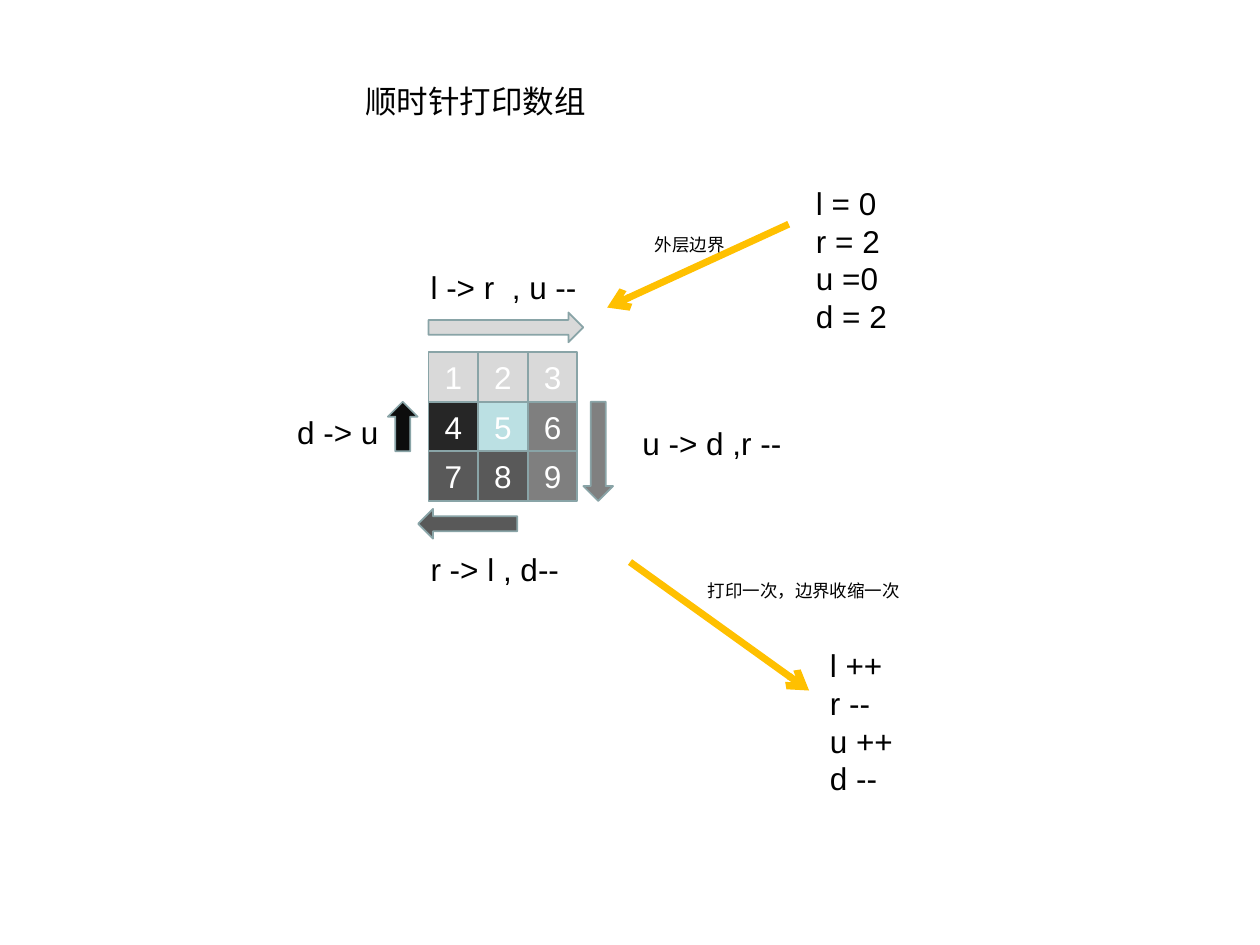
from lxml.etree import SubElement
from pptx import Presentation
from pptx.dml.color import RGBColor
from pptx.enum.shapes import MSO_CONNECTOR, MSO_SHAPE
from pptx.enum.text import MSO_ANCHOR, MSO_AUTO_SIZE, PP_ALIGN
from pptx.oxml.ns import qn
from pptx.util import Cm, Pt

BLACK = RGBColor(0x00, 0x00, 0x00)
WHITE = RGBColor(0xFF, 0xFF, 0xFF)
OUTLINE = RGBColor(0x89, 0xA4, 0xA7)
ORANGE = RGBColor(0xFF, 0xC0, 0x00)
CENTRE = RGBColor(0xBB, 0xE0, 0xE3)
TOP = RGBColor(0xD9, 0xD9, 0xD9)
RIGHT = RGBColor(0x7F, 0x7F, 0x7F)
BOTTOM = RGBColor(0x59, 0x59, 0x59)
LEFT = RGBColor(0x26, 0x26, 0x26)
RIGHT_ARROW = RGBColor(0x80, 0x80, 0x80)
UP_ARROW = RGBColor(0x0D, 0x0D, 0x0D)

# Matrix geometry in centimetres
GRID_LEFT, GRID_TOP, CELL = 8.64, 7.1, 1
CELL_FILLS = [
    [TOP, TOP, TOP],
    [LEFT, CENTRE, RIGHT],
    [BOTTOM, BOTTOM, RIGHT],
]

# Direction arrows: preset, left, top, width, height, fill
DIRECTIONS = [
    (MSO_SHAPE.RIGHT_ARROW, 8.64, 6.3, 3.12, 0.6, TOP),
    (MSO_SHAPE.LEFT_ARROW, 8.43, 10.26, 2, 0.6, BOTTOM),
    (MSO_SHAPE.DOWN_ARROW, 11.76, 8.1, 0.6, 2, RIGHT_ARROW),
    (MSO_SHAPE.UP_ARROW, 7.82, 8.1, 0.6, 1, UP_ARROW),
]

# Labels: lines, left, top, width, height, text size
LABELS = [
    (["l = 0", "r = 2", "u =0", "d = 2"], 16.2, 3.58, 3.89, 3.3, 18),
    (["l -> r  , u --"], 8.43, 5.28, 3.58, 1.02, 18),
    (["r -> l , d--"], 8.43, 10.97, 3.33, 1.02, 18),
    (["u -> d ,r --"], 12.7, 8.43, 4.65, 1.02, 18),
    (["d -> u"], 5.74, 8.2, 3.43, 1.02, 18),
    (["l ++", "r --", "u ++", "d --"], 16.48, 12.9, 3.89, 3.3, 18),
    (["外层边界"], 12.95, 4.6, 2.13, 0.69, 10),
    (["打印一次，边界收缩一次"], 14.02, 11.56, 6.5, 0.69, 10),
]

# Step arrows: start x, start y, end x, end y
STEPS = [
    (15.9, 4.52, 12.24, 6.2),
    (12.7, 11.33, 16.31, 13.92),
]


def write_text(shape, lines, size, color, alignment, anchor):
    frame = shape.text_frame
    frame.text = "\n".join(lines)
    frame.word_wrap = True
    frame.vertical_anchor = anchor
    font_format = {"name": "Arial", "size": Pt(size), "bold": False}
    for paragraph in frame.paragraphs:
        paragraph.alignment = alignment
        for run in paragraph.runs:
            for name, value in font_format.items():
                setattr(run.font, name, value)
            run.font.color.rgb = color


def add_title(slide, text):
    title = slide.shapes.title
    position = {"left": 7.11, "top": 1.52, "width": 7.77, "height": 1.02}
    for name, value in position.items():
        setattr(title, name, Cm(value))
    write_text(title, [text], 18, BLACK, PP_ALIGN.LEFT, MSO_ANCHOR.TOP)
    title.text_frame.auto_size = MSO_AUTO_SIZE.SHAPE_TO_FIT_TEXT


def add_filled_shape(slide, preset, left, top, width, height, fill):
    shape = slide.shapes.add_shape(preset, Cm(left), Cm(top), Cm(width), Cm(height))
    shape.shadow.inherit = False
    shape.fill.solid()
    shape.fill.fore_color.rgb = fill
    shape.line.color.rgb = OUTLINE
    shape.line.width = Pt(1)
    return shape


def add_matrix(slide):
    for row, fills in enumerate(CELL_FILLS):
        for column, fill in enumerate(fills):
            cell = add_filled_shape(
                slide, MSO_SHAPE.RECTANGLE,
                GRID_LEFT + column * CELL, GRID_TOP + row * CELL,
                CELL, CELL, fill)
            number = row * len(fills) + column + 1
            write_text(cell, [str(number)], 18, WHITE,
                       PP_ALIGN.CENTER, MSO_ANCHOR.MIDDLE)


def add_label(slide, lines, left, top, width, height, size):
    box = slide.shapes.add_textbox(Cm(left), Cm(top), Cm(width), Cm(height))
    write_text(box, lines, size, BLACK, PP_ALIGN.LEFT, MSO_ANCHOR.TOP)
    box.text_frame.auto_size = MSO_AUTO_SIZE.SHAPE_TO_FIT_TEXT


def add_step_arrow(slide, *ends):
    connector = slide.shapes.add_connector(
        MSO_CONNECTOR.STRAIGHT, *(Cm(value) for value in ends))
    connector.line.color.rgb = ORANGE
    connector.line.width = Pt(4)
    # Open arrowhead at the end, no shadow
    SubElement(connector.line._get_or_add_ln(), qn("a:tailEnd"), type="arrow")
    SubElement(connector._element.spPr, qn("a:effectLst"))


def main():
    presentation = Presentation()
    presentation.slide_width = Cm(25.4)
    presentation.slide_height = Cm(19.05)
    slide = presentation.slides.add_slide(presentation.slide_layouts[5])

    add_title(slide, "顺时针打印数组")
    add_matrix(slide)
    for direction in DIRECTIONS:
        add_filled_shape(slide, *direction)
    for step in STEPS:
        add_step_arrow(slide, *step)
    for label in LABELS:
        add_label(slide, *label)

    presentation.save("out.pptx")


if __name__ == "__main__":
    main()
